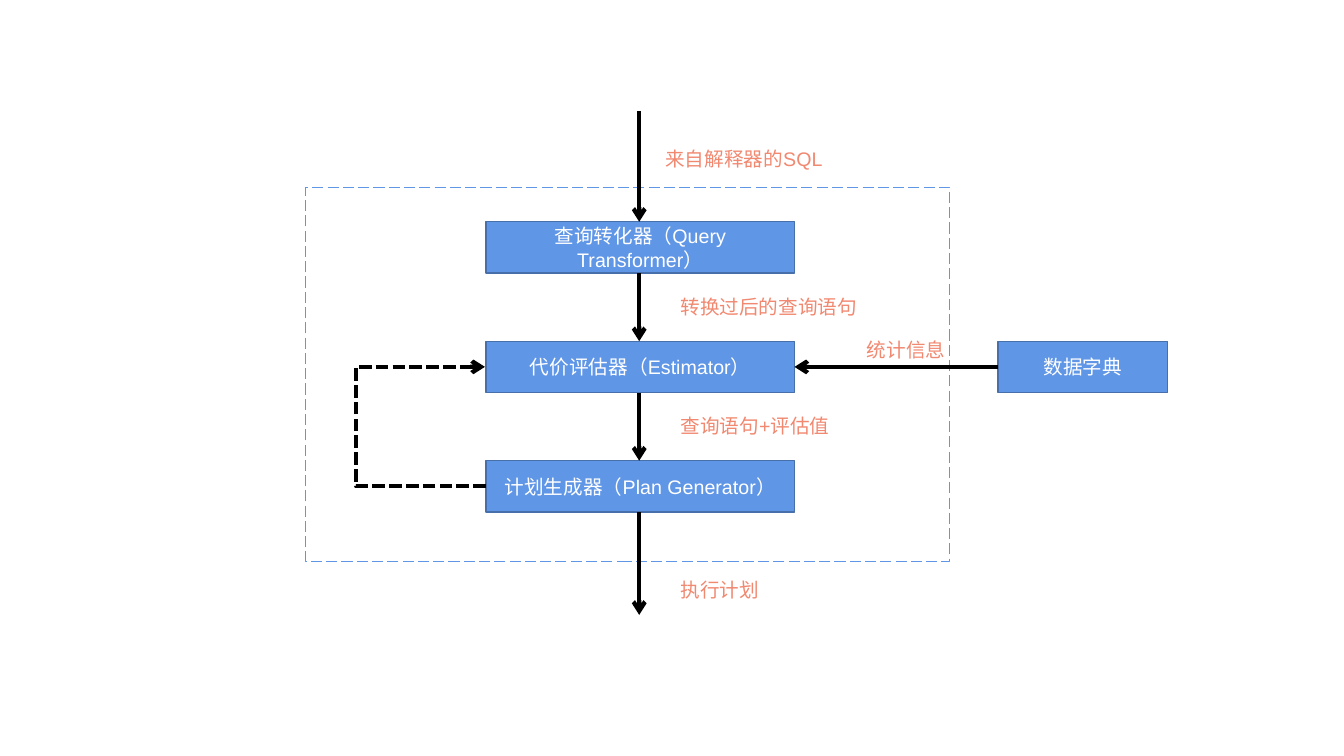
from lxml import etree
from pptx import Presentation
from pptx.dml.color import RGBColor
from pptx.enum.dml import MSO_LINE
from pptx.enum.shapes import MSO_CONNECTOR, MSO_SHAPE
from pptx.enum.text import MSO_ANCHOR, MSO_AUTO_SIZE, PP_ALIGN
from pptx.oxml.ns import qn
from pptx.util import Inches, Pt

RECT = MSO_SHAPE.RECTANGLE
STRAIGHT, ELBOW = MSO_CONNECTOR.STRAIGHT, MSO_CONNECTOR.ELBOW
LONG_DASH, SQUARE_DOT = MSO_LINE.LONG_DASH, MSO_LINE.SQUARE_DOT
MIDDLE = MSO_ANCHOR.MIDDLE
CENTER, LEFT = PP_ALIGN.CENTER, PP_ALIGN.LEFT
GROW = MSO_AUTO_SIZE.SHAPE_TO_FIT_TEXT

BOX_X, BOX_W, BOX_H = 4.82, 3.06, 0.51
BOX_TOP, BOX_STEP = 2.2, 1.185
MID_X = BOX_X + BOX_W / 2 - 0.01
LOOP_X = 3.51
DICT_X, DICT_W = 9.9, 1.68

STAGES = ["查询转化器（Query Transformer）", "代价评估器（Estimator）", "计划生成器（Plan Generator）"]
LABELS = [
    (6.5, 1.41, "来自解释器的SQL"),
    (6.65, 2.88, "转换过后的查询语句"),
    (8.5, 3.3, "统计信息"),
    (6.65, 4.06, "查询语句+评估值"),
    (6.65, 5.68, "执行计划"),
]


def rgb(value):
    """Return the colour for a hex string."""
    return RGBColor.from_string(value)


def write(tf, text, size=14, font="Arial", color="FFFFFF", align=LEFT):
    """Write one formatted paragraph into a text frame."""
    tf.word_wrap = True
    p = tf.paragraphs[0]
    p.alignment = align
    r = p.add_run()
    r.text = text
    r.font.size = Pt(size)
    r.font.name = font
    r.font.color.rgb = rgb(color)


class Diagram:
    """Draw flow diagram elements on one slide in a shared style."""

    fill, edge, frame_edge = "6096E6", "476FAA", "6096E6"
    ink, accent, paper = "000000", "F18870", "FFFFFF"

    def __init__(self, s):
        """Keep the slide to draw on."""
        self.s = s

    def rect(self, x, y, w, h, fill, edge):
        """Add a flat rectangle with a thin outline."""
        sp = self.s.shapes.add_shape(RECT, Inches(x), Inches(y), Inches(w), Inches(h))
        sp.shadow.inherit = False
        sp.fill.solid()
        sp.fill.fore_color.rgb = rgb(fill)
        sp.line.color.rgb = rgb(edge)
        sp.line.width = Pt(1)
        return sp

    def frame(self, x, y, w, h):
        """Add the dashed boundary."""
        sp = self.rect(x, y, w, h, self.paper, self.frame_edge)
        sp.line.dash_style = LONG_DASH

    def box(self, x, y, w, text):
        """Add a filled box with centred text."""
        sp = self.rect(x, y, w, BOX_H, self.fill, self.edge)
        sp.text_frame.vertical_anchor = MIDDLE
        write(sp.text_frame, text, align=CENTER)

    def label(self, x, y, text):
        """Add a caption beside an arrow."""
        sp = self.s.shapes.add_textbox(Inches(x), Inches(y), Inches(2), Inches(0.34))
        sp.text_frame.auto_size = GROW
        write(sp.text_frame, text, color=self.accent)

    def arrow(self, x1, y1, x2, y2, kind=STRAIGHT):
        """Add a thick connector with an open arrowhead at its end."""
        c = self.s.shapes.add_connector(kind, Inches(x1), Inches(y1), Inches(x2), Inches(y2))
        c.line.color.rgb = rgb(self.ink)
        c.line.width = Pt(3)
        etree.SubElement(c.line._get_or_add_ln(), qn("a:tailEnd"), type="arrow")
        etree.SubElement(c._element.spPr, qn("a:effectLst"))
        return c

    def loop(self, x, y1, y2, bend_x):
        """Add a dashed feedback arrow that bends out to bend_x."""
        width = 0.01
        c = self.arrow(x, y1, x - width, y2, ELBOW)
        c.line.dash_style = SQUARE_DOT
        guides = c._element.spPr.find(qn("a:prstGeom")).get_or_add_avLst()
        adj = round((x - bend_x) / width * 100000)
        etree.SubElement(guides, qn("a:gd"), name="adj1", fmla=f"val {adj}")


def main():
    """Build the slide and save it."""
    prs = Presentation()
    prs.slide_width, prs.slide_height = Inches(13.33), Inches(7.5)
    d = Diagram(prs.slides.add_slide(prs.slide_layouts[6]))

    d.frame(3.03, 1.86, 6.39, 3.71)
    tops = [BOX_TOP + i * BOX_STEP for i in range(len(STAGES))]
    for top, text in zip(tops, STAGES):
        d.box(BOX_X, top, BOX_W, text)

    starts = [1.1] + [top + BOX_H for top in tops]
    for start, end in zip(starts, tops + [6.1]):
        d.arrow(MID_X, start, MID_X, end)

    estimator_y, generator_y = [top + BOX_H / 2 for top in tops[1:]]
    d.loop(BOX_X, generator_y, estimator_y, LOOP_X)
    d.box(DICT_X, tops[1], DICT_W, "数据字典")
    d.arrow(DICT_X, estimator_y, BOX_X + BOX_W, estimator_y)

    for x, y, text in LABELS:
        d.label(x, y, text)
    prs.save("out.pptx")


if __name__ == "__main__":
    main()
